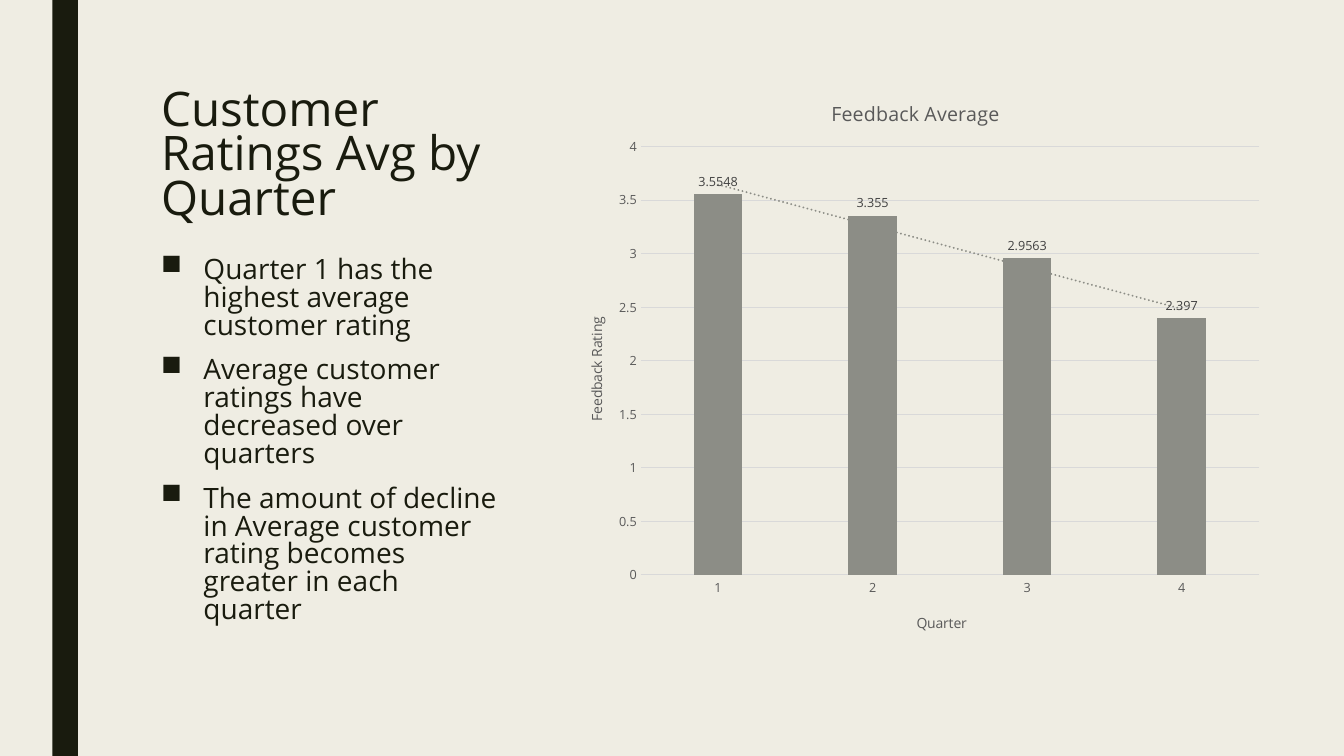
from lxml.etree import SubElement
from pptx import Presentation
from pptx.chart.data import CategoryChartData
from pptx.dml.color import RGBColor
from pptx.enum.chart import XL_CHART_TYPE as ChartType, XL_LABEL_POSITION as LabelPosition
from pptx.enum.chart import XL_TICK_MARK as TickMark
from pptx.enum.shapes import MSO_SHAPE as Shape
from pptx.enum.text import MSO_ANCHOR as Anchor
from pptx.oxml import parse_xml
from pptx.oxml.ns import nsdecls, qn
from pptx.util import Inches, Pt

CREAM = RGBColor(0xEF, 0xED, 0xE3)
INK = RGBColor(0x19, 0x1B, 0x0E)
BAR_GRAY = RGBColor(0x8C, 0x8D, 0x86)
GRID_GRAY = RGBColor(0xD9, 0xD9, 0xD9)
AXIS_GRAY = RGBColor(0x59, 0x59, 0x59)
LABEL_GRAY = RGBColor(0x40, 0x40, 0x40)

POINTS = [
    "Quarter 1 has the highest average customer rating",
    "Average customer ratings have decreased over quarters",
    "The amount of decline in Average customer rating becomes greater in each quarter",
]
RATINGS = {"1": 3.5548, "2": 3.355, "3": 2.9563, "4": 2.397}


class SlideBuilder:
    """Holds the style and the slide; places are shares of the slide's size."""

    font_name = "Open Sans"

    def __init__(self, presentation):
        self.width, self.height = presentation.slide_width, presentation.slide_height
        self.slide = presentation.slides.add_slide(presentation.slide_layouts[6])
        fill = self.slide.background.fill
        fill.solid()
        fill.fore_color.rgb = CREAM

    def place(self, left, top, width, height):
        return (round(left * self.width), round(top * self.height),
                round(width * self.width), round(height * self.height))

    def style(self, font, size, color):
        font.name, font.size, font.bold = self.font_name, Pt(size), False
        font.color.rgb = color

    def band(self, *area):
        shape = self.slide.shapes.add_shape(Shape.RECTANGLE, *self.place(*area))
        shape.shadow.inherit = False
        shape.fill.solid()
        shape.fill.fore_color.rgb = INK
        shape.line.fill.background()

    def text(self, area, lines, size, spacing, anchor=Anchor.TOP, bullet=None):
        frame = self.slide.shapes.add_textbox(*self.place(*area)).text_frame
        frame.word_wrap = True
        frame.vertical_anchor = anchor
        for index, line in enumerate(lines):
            paragraph = frame.add_paragraph() if index else frame.paragraphs[0]
            paragraph.line_spacing = spacing
            if bullet:
                self.bullet(paragraph, bullet, first=index == 0)
            run = paragraph.add_run()
            run.text = line
            self.style(run.font, size, INK)

    def bullet(self, paragraph, symbol, first):
        paragraph.space_before = Pt(0 if first else 10)
        paragraph.space_after = Pt(2)
        properties = paragraph._p.get_or_add_pPr()
        indent = Inches(0.42)
        properties.set("marL", str(indent))
        properties.set("indent", str(-indent))
        SubElement(properties, qn("a:buChar")).set("char", symbol)

    def chart_title(self, owner, text, size, x, y):
        title = owner.chart_title if hasattr(owner, "chart_title") else owner.axis_title
        run = title.text_frame.paragraphs[0].add_run()
        run.text = text
        self.style(run.font, size, AXIS_GRAY)
        layout = self.layout(f'<c:xMode val="edge"/><c:yMode val="edge"/>'
                             f'<c:x val="{x}"/><c:y val="{y}"/>')
        for old in title._element.findall(qn("c:layout")):
            title._element.remove(old)
        title._element.find(qn("c:tx")).addnext(layout)

    def layout(self, content):
        return parse_xml(f'<c:layout {nsdecls("c")}><c:manualLayout>{content}'
                         f'</c:manualLayout></c:layout>')

    def place_plot(self, chart, x, y, width, height):
        area = chart._chartSpace.chart.plotArea
        for old in area.findall(qn("c:layout")):
            area.remove(old)
        area.insert(0, self.layout(
            f'<c:layoutTarget val="inner"/><c:xMode val="edge"/><c:yMode val="edge"/>'
            f'<c:x val="{x}"/><c:y val="{y}"/><c:w val="{width}"/><c:h val="{height}"/>'))

    def trend_line(self, series):
        trend = parse_xml(
            f'<c:trendline {nsdecls("c", "a")}><c:spPr><a:ln w="{Pt(1.5)}" cap="rnd">'
            f'<a:solidFill><a:srgbClr val="{BAR_GRAY}"/></a:solidFill>'
            f'<a:prstDash val="sysDot"/></a:ln></c:spPr><c:trendlineType val="linear"/>'
            f'<c:dispRSqr val="0"/><c:dispEq val="0"/></c:trendline>')
        series._element.find(qn("c:cat")).addprevious(trend)

    def axis(self, axis):
        axis.major_tick_mark = axis.minor_tick_mark = TickMark.NONE
        self.style(axis.tick_labels.font, 9, AXIS_GRAY)

    def grid_line(self, line):
        line.color.rgb = GRID_GRAY
        line.width = Pt(0.75)

    def column_chart(self, area, values):
        data = CategoryChartData()
        data.categories = list(values)
        data.add_series("Series 1", list(values.values()))
        chart = self.slide.shapes.add_chart(
            ChartType.COLUMN_CLUSTERED, *self.place(*area), data).chart
        chart.has_legend = False
        chart.font.name, chart.font.size = self.font_name, Pt(10)

        # Columns, value labels and trend
        plot = chart.plots[0]
        plot.gap_width, plot.overlap, plot.vary_by_categories = 219, -27, False
        series = plot.series[0]
        series.format.fill.solid()
        series.format.fill.fore_color.rgb = BAR_GRAY
        labels = series.data_labels
        labels.show_value = True
        labels.position = LabelPosition.OUTSIDE_END
        self.style(labels.font, 9, LABEL_GRAY)
        self.trend_line(series)

        # Axes
        quarters, ratings = chart.category_axis, chart.value_axis
        self.axis(quarters)
        self.axis(ratings)
        self.grid_line(quarters.format.line)
        self.grid_line(ratings.major_gridlines.format.line)
        ratings.format.line.fill.background()
        ratings.minimum_scale, ratings.maximum_scale, ratings.major_unit = 0, 4, 0.5

        # Titles and plot position, as shares of the chart
        self.chart_title(chart, "Feedback Average", 14, 0.38, 0.04)
        self.chart_title(quarters, "Quarter", 10, 0.5, 0.93)
        self.chart_title(ratings, "Feedback Rating", 10, 0.04, 0.42)
        self.place_plot(chart, 0.12, 0.13, 0.86, 0.74)


def main():
    presentation = Presentation()
    presentation.slide_width, presentation.slide_height = Inches(13.33), Inches(7.5)
    builder = SlideBuilder(presentation)

    # Side band
    builder.band(0.039, 0, 0.019, 1)

    # Heading and findings
    left, width = 0.1125, 0.2693
    builder.text((left, 0.1, width, 0.216), ["Customer Ratings Avg by Quarter"],
                 34, 0.78, anchor=Anchor.MIDDLE)
    builder.text((left, 0.3333, width, 0.5227), POINTS, 20, 0.83, bullet="■")

    # Ratings chart
    builder.column_chart((0.4126, 0.0947, 0.5349, 0.7653), RATINGS)

    presentation.save("out.pptx")


if __name__ == "__main__":
    main()
